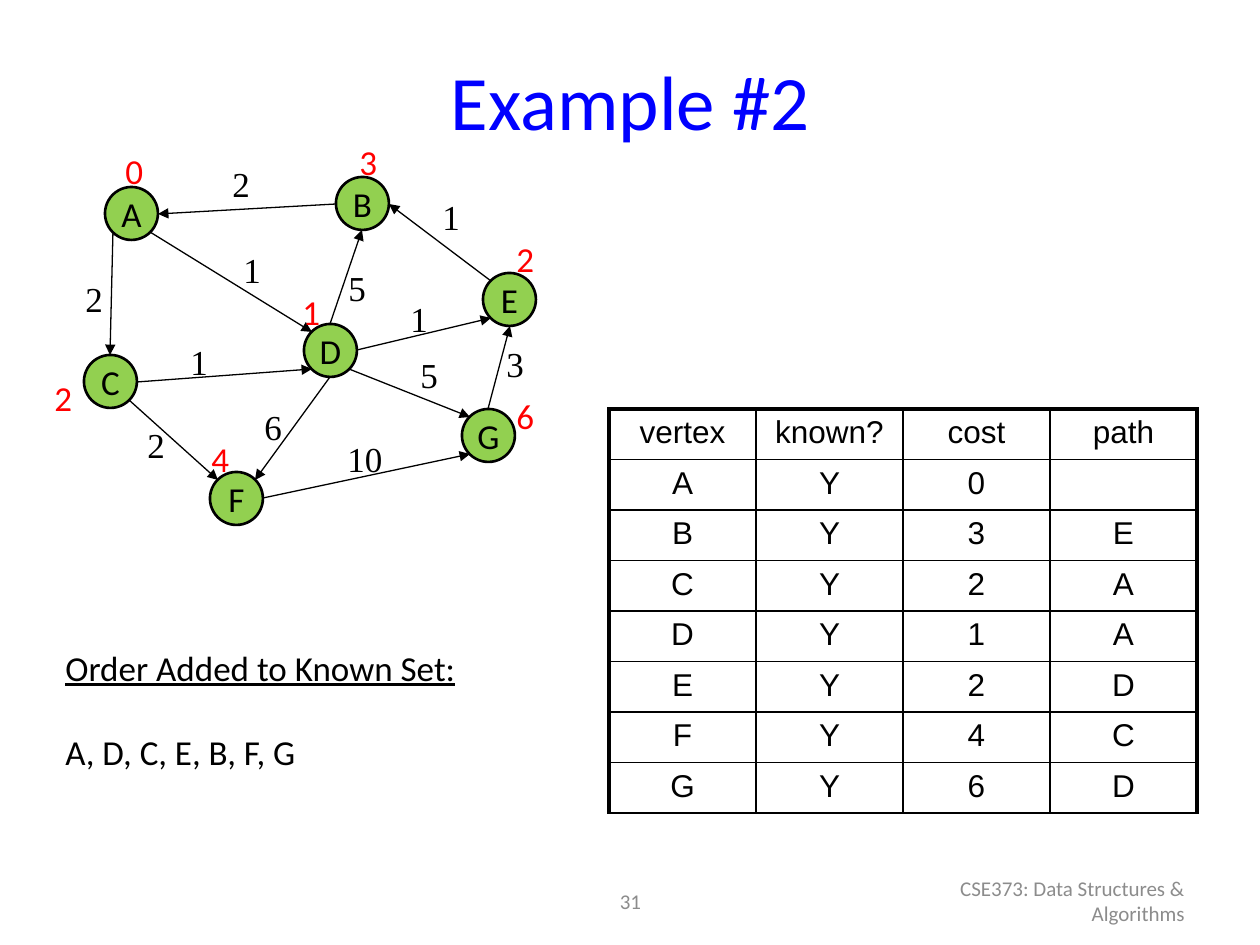
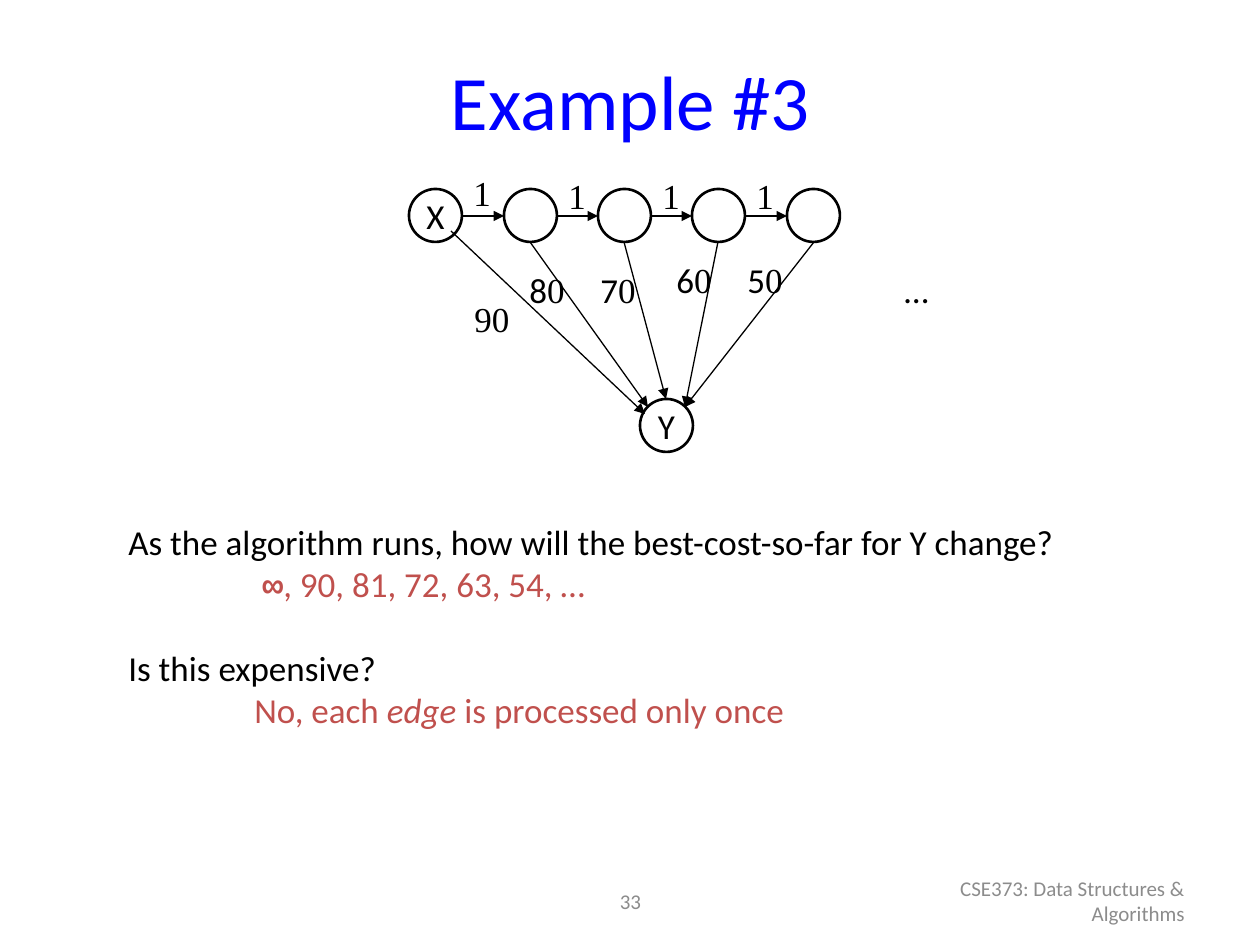
from dataclasses import dataclass, replace
from math import cos, radians, sin

from lxml import etree
from pptx import Presentation
from pptx.dml.color import RGBColor
from pptx.enum.shapes import MSO_CONNECTOR, MSO_SHAPE
from pptx.enum.text import MSO_ANCHOR, MSO_AUTO_SIZE, PP_ALIGN
from pptx.oxml.ns import qn
from pptx.util import Emu, Pt

OVAL = MSO_SHAPE.OVAL
STRAIGHT = MSO_CONNECTOR.STRAIGHT
TOP, MIDDLE = MSO_ANCHOR.TOP, MSO_ANCHOR.MIDDLE
LEFT, CENTER, RIGHT = PP_ALIGN.LEFT, PP_ALIGN.CENTER, PP_ALIGN.RIGHT
GROW = MSO_AUTO_SIZE.SHAPE_TO_FIT_TEXT
PX_PER_INCH = 126
NODE_SIZE = 53
# Clockwise degrees from the right-hand side of a node
SITES = {"right": 0, "bottom right": 45, "bottom": 90, "bottom left": 135,
         "left": 180, "top left": 225, "top": 270, "top right": 315}


@dataclass(frozen=True)
class TextStyle:
    size: int
    color: str = "000000"
    font: str = "Calibri"
    bold: bool = False
    italic: bool = False
    underline: bool = False


@dataclass(frozen=True)
class Theme:
    ink: str = "000000"
    node_fill: str = "92D050"
    node_line: float = 1.5
    edge_line: float = 0.75
    grid_line: float = 1
    frame_line: float = 2.25
    line_gap: float = 24.4
    title: TextStyle = TextStyle(44, "0000FF")
    footer: TextStyle = TextStyle(12, "8C8C8C")
    body: TextStyle = TextStyle(20)
    heading: TextStyle = TextStyle(20, underline=True)
    cost: TextStyle = TextStyle(20, "FF0000")
    weight: TextStyle = TextStyle(20, font="Times New Roman")
    answer: TextStyle = TextStyle(20, "C0504D")
    cell: TextStyle = TextStyle(18, font="Arial")


THEME = Theme()


def px(length):
    return Emu(round(length * 914400 / PX_PER_INCH))


def color(value):
    return RGBColor.from_string(value)


def format_run(run, style):
    font = run.font
    font.name, font.size = style.font, Pt(style.size)
    font.color.rgb = color(style.color)
    font.bold, font.italic, font.underline = style.bold, style.italic, style.underline


def write(paragraph, runs, align=LEFT, indent=0, gap=0):
    """Fill a paragraph with (text, style) runs."""
    paragraph.alignment = align
    if indent:
        properties = paragraph._p.get_or_add_pPr()
        properties.set("marL", str(px(indent)))
        properties.set("indent", "0")
    if gap:
        paragraph.space_before = Pt(gap)
    for text, style in runs:
        run = paragraph.add_run()
        run.text = text
        format_run(run, style)


def add_text_box(slide, box, runs, align=LEFT, anchor=TOP, wrap=True, grow=False):
    shape = slide.shapes.add_textbox(*map(px, box))
    frame = shape.text_frame
    frame.word_wrap = wrap
    frame.vertical_anchor = anchor
    if grow:
        frame.auto_size = GROW
    write(frame.paragraphs[0], runs, align)
    return frame


def add_label(slide, left, top, runs):
    """Text of one or two digits, in a box wide enough for one line."""
    width = 44 if sum(len(text) for text, _ in runs) == 1 else 64
    add_text_box(slide, (left, top, width, 55), runs, wrap=False, grow=True)


def add_node(slide, position, name="", fill=None):
    node = slide.shapes.add_shape(OVAL, *map(px, (*position, NODE_SIZE, NODE_SIZE)))
    node.shadow.inherit = False
    if fill:
        node.fill.solid()
        node.fill.fore_color.rgb = color(fill)
    else:
        node.fill.background()
    node.line.color.rgb = color(THEME.ink)
    node.line.width = Pt(THEME.node_line)
    if name:
        frame = node.text_frame
        frame.margin_left = frame.margin_right = 0
        frame.margin_top = frame.margin_bottom = 0
        frame.word_wrap = False
        frame.vertical_anchor = MIDDLE
        write(frame.paragraphs[0], [(name, THEME.body)], CENTER)


def site(position, side):
    """Point on the rim of the node at this position."""
    angle, radius = radians(SITES[side]), NODE_SIZE / 2
    left, top = position
    return (round(left + radius * (1 + cos(angle))),
            round(top + radius * (1 + sin(angle))))


def add_arrow(slide, start, end):
    arrow = slide.shapes.add_connector(STRAIGHT, *map(px, (*start, *end)))
    arrow.line.color.rgb = color(THEME.ink)
    arrow.line.width = Pt(THEME.edge_line)
    properties = arrow._element.spPr
    etree.SubElement(properties.find(qn("a:ln")), qn("a:tailEnd"), type="triangle")
    etree.SubElement(properties, qn("a:effectLst"))


def add_border(cell, tag, width):
    border = etree.SubElement(cell._tc.get_or_add_tcPr(), qn(tag), w=str(Pt(width)))
    fill = etree.SubElement(border, qn("a:solidFill"))
    etree.SubElement(fill, qn("a:srgbClr"), val=THEME.ink)


def add_table(slide, box, rows):
    left, top, width, height = map(px, box)
    frame = slide.shapes.add_table(len(rows), len(rows[0]), left, top, width, height)
    table = frame.table
    table.first_row = table.horz_banding = False
    last_column = len(rows[0]) - 1
    for row_index, values in enumerate(rows):
        for column_index, value in enumerate(values):
            cell = table.cell(row_index, column_index)
            heavy = {"a:lnL": column_index == 0, "a:lnR": column_index == last_column,
                     "a:lnT": row_index == 0, "a:lnB": False}
            for tag, is_heavy in heavy.items():
                add_border(cell, tag, THEME.frame_line if is_heavy else THEME.grid_line)
            cell.fill.background()
            write(cell.text_frame.paragraphs[0], [(value, THEME.cell)], CENTER)


def add_slide(presentation, title, number):
    """Blank slide with the shared title and footers."""
    slide = presentation.slides.add_slide(presentation.slide_layouts[6])
    add_text_box(slide, (95, 21, 1071, 158), [(title, THEME.title)], CENTER, MIDDLE)
    add_text_box(slide, (431, 876, 399, 50), [(number, THEME.footer)], CENTER, MIDDLE)
    add_text_box(slide, (903, 876, 294, 50),
                 [("CSE373: Data Structures & Algorithms", THEME.footer)], RIGHT, MIDDLE)
    return slide


def build_shortest_paths(presentation):
    slide = add_slide(presentation, "Example #2", "31")
    nodes = {"A": (105, 187), "B": (336, 177), "C": (84, 355), "D": (304, 324),
             "E": (483, 273), "F": (210, 472), "G": (462, 409)}
    # from, side, to, side, weight, position of the weight
    edges = [
        ("A", "bottom left", "C", "top", "2", (73, 271)),
        ("B", "left", "A", "right", "2", (220, 156)),
        ("D", "top", "B", "bottom", "5", (336, 260)),
        ("A", "bottom right", "D", "top left", "1", (231, 242)),
        ("C", "right", "D", "bottom left", "1", (178, 334)),
        ("D", "right", "E", "bottom left", "1", (398, 291)),
        ("E", "top left", "B", "right", "1", (430, 189)),
        ("C", "bottom right", "F", "top left", "2", (135, 417)),
        ("D", "bottom", "F", "top right", "6", (252, 399)),
        ("D", "bottom right", "G", "top left", "5", (408, 347)),
        ("G", "top", "E", "bottom", "3", (494, 336)),
        ("F", "right", "G", "bottom left", "10", (335, 431)),
    ]
    costs = [("0", 113, 143), ("3", 347, 134), ("4", 199, 431), ("2", 42, 370),
             ("1", 290, 284), ("2", 504, 231), ("6", 504, 388)]
    for name, position in nodes.items():
        add_node(slide, position, name, THEME.node_fill)
    for source, source_side, target, target_side, weight, position in edges:
        add_arrow(slide, site(nodes[source], source_side), site(nodes[target], target_side))
        add_label(slide, *position, [(weight, THEME.weight)])
    for cost, left, top in costs:
        add_label(slide, left, top, [(cost, THEME.cost)])

    add_table(slide, (609, 409, 588, 404), [
        ("vertex", "known?", "cost", "path"),
        ("A", "Y", "0", ""),
        ("B", "Y", "3", "E"),
        ("C", "Y", "2", "A"),
        ("D", "Y", "1", "A"),
        ("E", "Y", "2", "D"),
        ("F", "Y", "4", "C"),
        ("G", "Y", "6", "D"),
    ])
    order = add_text_box(slide, (53, 640, 455, 140),
                         [("Order Added to Known Set:", THEME.heading)],
                         wrap=False, grow=True)
    write(order.add_paragraph(), [("A, D, C, E, B, F, G", THEME.body)], gap=THEME.line_gap)


def build_cost_updates(presentation):
    slide = add_slide(presentation, "Example #3", "33")
    chain_left, chain_top, chain_width = 409, 189, 378
    names = ("X", "", "", "", "")
    step = chain_width / (len(names) - 1)
    chain = [(round(chain_left + index * step), chain_top) for index in range(len(names))]
    target = (640, 399)
    for position, name in zip(chain, names):
        add_node(slide, position, name)
    add_node(slide, target, "Y")

    for index, (node, following) in enumerate(zip(chain, chain[1:])):
        add_arrow(slide, site(node, "right"), site(following, "left"))
        add_label(slide, node[0] + 52, 168 if index else 165, [("1", THEME.weight)])

    add_arrow(slide, (451, 231), (645, 414))
    target_sides = ("top left", "top", "top right", "top right")
    for node, side in zip(chain[1:], target_sides):
        add_arrow(slide, site(node, "bottom"), site(target, side))
    add_label(slide, 462, 291, [("90", THEME.weight)])
    for tens, left, top in (("8", 517, 262), ("7", 588, 262),
                            ("6", 664, 252), ("5", 735, 252)):
        add_label(slide, left, top, [(tens, THEME.body), ("0", THEME.weight)])
    add_text_box(slide, (892, 262, 60, 55), [("…", THEME.body)], wrap=False, grow=True)

    answer = THEME.answer
    questions = add_text_box(
        slide, (116, 514, 1061, 224),
        [("As the algorithm runs, how will the best-cost-so-far for Y change?", THEME.body)],
        grow=True)
    write(questions.add_paragraph(),
          [("∞", replace(answer, font="Courier New", bold=True)),
           (", 90, 81, 72, 63, 54, …", answer)], indent=134)
    write(questions.add_paragraph(), [("Is this expensive?", THEME.body)], gap=THEME.line_gap)
    write(questions.add_paragraph(),
          [("No, each ", answer), ("edge", replace(answer, italic=True)),
           (" is processed only once", answer)], indent=126)


def main():
    presentation = Presentation()
    presentation.slide_width, presentation.slide_height = px(1260), px(945)
    build_shortest_paths(presentation)
    build_cost_updates(presentation)
    presentation.save("out.pptx")


if __name__ == "__main__":
    main()
